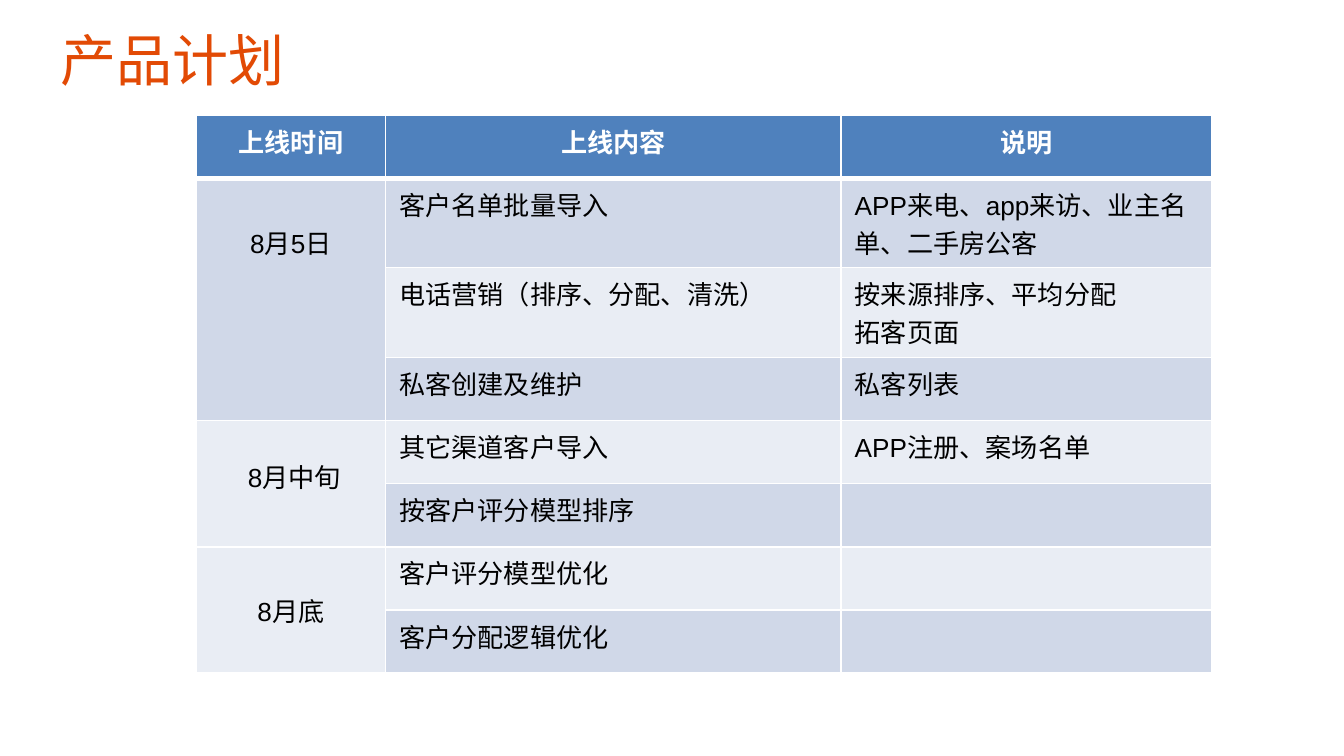
from lxml import etree
from pptx import Presentation
from pptx.dml.color import RGBColor
from pptx.enum.text import MSO_ANCHOR, PP_ALIGN
from pptx.oxml.ns import qn
from pptx.util import Inches, Pt

TOP = MSO_ANCHOR.TOP
LEFT, MID = PP_ALIGN.LEFT, PP_ALIGN.CENTER
LATIN, HAN = "Arial", "Noto Sans CJK SC"
ORANGE, BLUE, WHITE, BLACK = "E24A05", "4F81BD", "FFFFFF", "000000"
BANDS = ("E9EDF4", "D0D8E8")

WIDE = 10
HIGH = WIDE * 9 / 16
COLS = (1.41, 3.39, 2.76)
ROWS = (0.47, 0.66, 0.67) + (0.47,) * 5
HEAD = ("上线时间", "上线内容", "说明")
BODY = (
    ("客户名单批量导入", "APP来电、app来访、业主名单、二手房公客"),
    ("电话营销（排序、分配、清洗）", "按来源排序、平均分配\n拓客页面"),
    ("私客创建及维护", "私客列表"),
    ("其它渠道客户导入", "APP注册、案场名单"),
    ("按客户评分模型排序", ""),
    ("客户评分模型优化", ""),
    ("客户分配逻辑优化", ""),
)
DATES = (("8月5日", 3, 0.33), (" 8月中旬", 2, 0.27), ("8月底", 2, 0.33))


def color(code):
    return RGBColor.from_string(code)


class Deck:
    def __init__(self, wide, high):
        self.file = Presentation()
        self.file.slide_width = Inches(wide)
        self.file.slide_height = Inches(high)
        self.slide = self.file.slides.add_slide(self.file.slide_layouts[6])

    def style(self, frame, size, tint, face, bold=False, align=LEFT):
        for para in frame.paragraphs:
            para.alignment = align
            for run in para.runs:
                font = run.font
                font.name, font.size, font.bold = face, Pt(size), bold
                font.color.rgb = color(tint)
                east = etree.Element(qn("a:ea"), typeface=HAN)
                font._element.find(qn("a:latin")).addnext(east)

    def title(self, text, left, top, wide, high):
        box = self.slide.shapes.add_textbox(
            Inches(left), Inches(top), Inches(wide), Inches(high))
        frame = box.text_frame
        frame.word_wrap = True
        frame.vertical_anchor = TOP
        frame.text = text
        self.style(frame, 30, ORANGE, HAN)

    def table(self, left, top, cols, rows):
        table = self.slide.shapes.add_table(
            len(rows), len(cols), Inches(left), Inches(top),
            Inches(sum(cols)), Inches(sum(rows))).table
        for col, wide in zip(table.columns, cols):
            col.width = Inches(wide)
        for row, high in zip(table.rows, rows):
            row.height = Inches(high)
        return table

    def border(self, cell, top, base):
        props = cell._tc.get_or_add_tcPr()
        sides = (("L", 1), ("R", 1), ("T", top), ("B", base))
        for spot, (side, size) in enumerate(sides):
            line = etree.Element(qn("a:ln" + side), w=str(Pt(size)))
            fill = etree.SubElement(line, qn("a:solidFill"))
            etree.SubElement(fill, qn("a:srgbClr"), val=WHITE)
            props.insert(spot, line)

    def cell(self, cell, text, fill, tint=BLACK, bold=False, align=LEFT):
        cell.fill.solid()
        cell.fill.fore_color.rgb = color(fill)
        cell.text_frame.text = text
        self.style(cell.text_frame, 14, tint, LATIN, bold, align)


def main():
    deck = Deck(WIDE, HIGH)
    deck.title("产品计划", 0.35, 0.14, 8.5, 0.71)
    plan = deck.table(1.46, 0.86, COLS, ROWS)
    for col, text in enumerate(HEAD):
        deck.cell(plan.cell(0, col), text, BLUE, WHITE, True, MID)
    for row, texts in enumerate(BODY, 1):
        for col, text in enumerate(texts, 1):
            deck.cell(plan.cell(row, col), text, BANDS[row % 2])
    row = 1
    for text, span, drop in DATES:
        date = plan.cell(row, 0)
        date.merge(plan.cell(row + span - 1, 0))
        date.margin_top = Inches(drop)
        deck.cell(date, text, BANDS[row % 2], align=MID)
        row += span
    for row in range(len(ROWS)):
        for col in range(len(COLS)):
            deck.border(plan.cell(row, col),
                        3 if row == 1 else 1, 3 if row == 0 else 1)
    deck.file.save("out.pptx")


if __name__ == "__main__":
    main()
